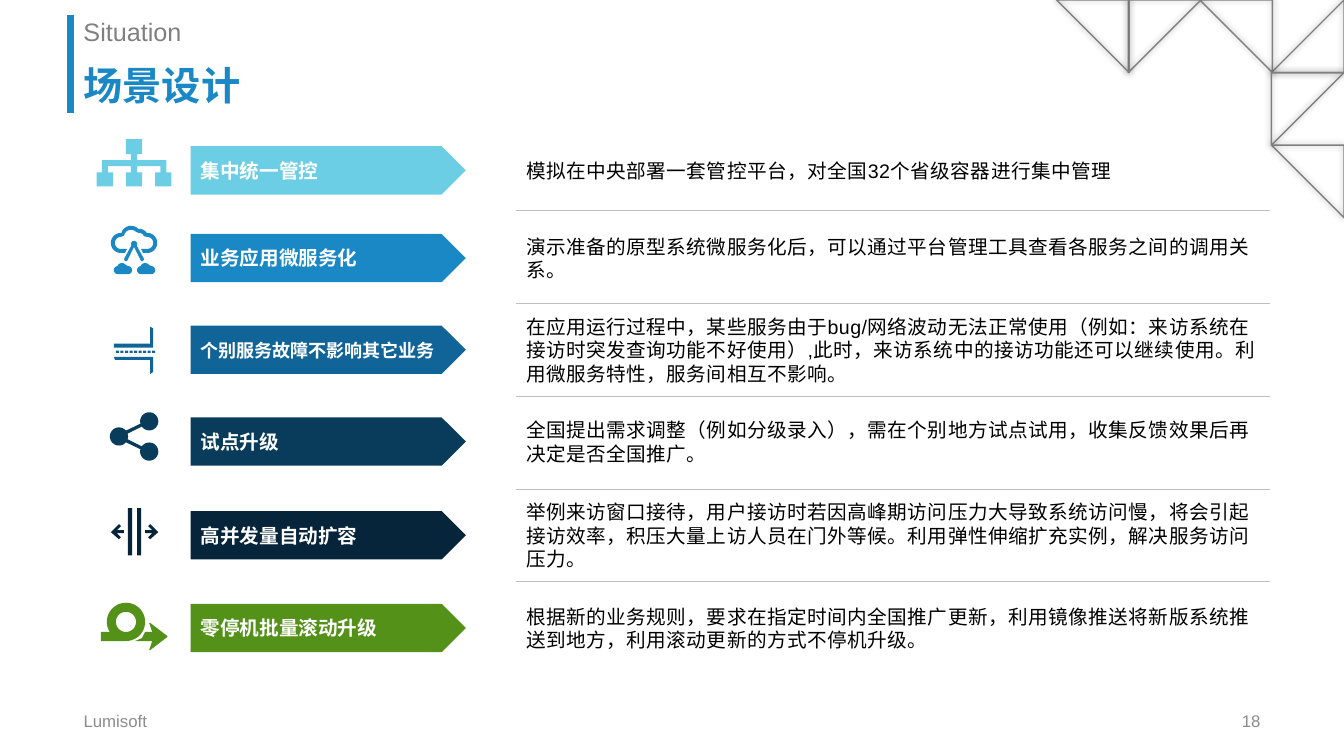
from math import cos, radians, sin

from lxml.etree import SubElement
from pptx import Presentation
from pptx.dml.color import RGBColor
from pptx.enum.shapes import MSO_CONNECTOR, MSO_SHAPE
from pptx.enum.text import MSO_ANCHOR, MSO_AUTO_SIZE, PP_ALIGN
from pptx.oxml.ns import qn
from pptx.util import Inches, Pt

THEME = {
    "font": "Arial", "accent": "1988C5", "grey": "808080", "footer": "8C8C8C",
    "rule": "BFBFBF", "text": "000000", "white": "FFFFFF",
    "title_pt": 28, "subtitle_pt": 18, "body_pt": 14, "long_label_pt": 12.9, "footer_pt": 12,
}
W, H = 13.33, 7.5
LEFT, RIGHT = 0.73, 12.6          # content margins
LABEL_X, LABEL_W, LABEL_H = 1.89, 2.73, 0.48
DETAIL_X = 5.12
ROW_STEP, FIRST_RULE = 0.92, 2.09
TRIANGLE, TRIANGLE_STEP = 0.72, 0.71
ICON_X = 1.33                     # axis shared by the icons


def arc(cx, cy, r, start, end):
    """Points along a circle; degrees run clockwise from the right."""
    n = max(6, int(abs(end - start) / 8))
    angles = [radians(start + (end - start) * i / n) for i in range(n + 1)]
    return [(cx + r * cos(a), cy + r * sin(a)) for a in angles]


def write(tf, text, size, color, bold=False, anchor=MSO_ANCHOR.MIDDLE, align=PP_ALIGN.LEFT):
    tf.word_wrap = True
    tf.auto_size = MSO_AUTO_SIZE.NONE
    tf.vertical_anchor = anchor
    p = tf.paragraphs[0]
    p.alignment = align
    r = p.add_run()
    r.text = text
    r.font.name = THEME["font"]
    r.font.size = Pt(size)
    r.font.bold = bold
    r.font.color.rgb = RGBColor.from_string(color)
    return p


prs = Presentation()
prs.slide_width, prs.slide_height = Inches(W), Inches(H)
s = prs.slides.add_slide(prs.slide_layouts[5])

# Corner triangles: column from the right, row, rotation
for col, row, turn in [(1, 0, 270), (2, 0, 180), (3, 0, 90), (4, 0, 180), (1, 2, 180), (1, 1, 90)]:
    x = W - TRIANGLE - (col - 1) * TRIANGLE_STEP
    sp = s.shapes.add_shape(MSO_SHAPE.RIGHT_TRIANGLE, Inches(x), Inches(row * TRIANGLE),
                            Inches(TRIANGLE), Inches(TRIANGLE))
    sp.rotation = turn
    sp.fill.background()
    sp.line.color.rgb = RGBColor.from_string(THEME["grey"])
    sp.line.width = Pt(1)
    effects = SubElement(sp._element.spPr, qn("a:effectLst"))
    shadow = SubElement(effects, qn("a:outerShdw"), blurRad=str(Pt(5)), dist="0", dir="0")
    black = SubElement(shadow, qn("a:srgbClr"), val="000000")
    SubElement(black, qn("a:alpha"), val="40000")

# Title bar and row rules
rules = [(DETAIL_X, y, RIGHT, y, THEME["rule"], 0.25)
         for y in (FIRST_RULE + i * ROW_STEP for i in range(5))]
for x1, y1, x2, y2, color, width in [(0.7, 0.15, 0.7, 1.12, THEME["accent"], 5)] + rules:
    line = s.shapes.add_connector(MSO_CONNECTOR.STRAIGHT, Inches(x1), Inches(y1), Inches(x2), Inches(y2))
    line.line.color.rgb = RGBColor.from_string(color)
    line.line.width = Pt(width)
    SubElement(line._element.spPr, qn("a:effectLst"))

# Heading
title = s.shapes.title
title.left, title.top = Inches(LEFT), Inches(0.54)
title.width, title.height = Inches(RIGHT - LEFT), Inches(0.59)
p = write(title.text_frame, "场景设计", THEME["title_pt"], THEME["accent"], True, MSO_ANCHOR.BOTTOM)
p.line_spacing = 0.9
subtitle = s.shapes.add_textbox(Inches(LEFT), Inches(0.15), Inches(RIGHT - LEFT), Inches(0.39))
p = write(subtitle.text_frame, "Situation", THEME["subtitle_pt"], THEME["grey"], anchor=MSO_ANCHOR.TOP)
p.line_spacing = 0.9

# Icon outlines, each a list of closed contours
tree_half = [(1.41, 1.38), (1.41, 1.53), (1.36, 1.53), (1.36, 1.59), (1.65, 1.59), (1.65, 1.71),
             (1.7, 1.71), (1.7, 1.85), (1.54, 1.85), (1.54, 1.71), (1.59, 1.71), (1.59, 1.65),
             (1.36, 1.65), (1.36, 1.71), (1.41, 1.71), (1.41, 1.85)]
tree = [tree_half + [(2 * ICON_X - x, y) for x, y in reversed(tree_half)]]

cloud = [
    arc(1.46, 2.41, 0.1, 90, -90) + arc(1.38, 2.36, 0.09, -35, -95)
    + arc(1.3, 2.34, 0.1, -45, -165) + arc(1.2, 2.41, 0.1, -95, -270)
    + [(1.24, 2.51), (1.26, 2.47)]
    + arc(1.2, 2.41, 0.06, 90, 270) + arc(1.3, 2.35, 0.07, -170, -45)
    + arc(1.38, 2.36, 0.05, -95, -20) + arc(1.46, 2.41, 0.06, -90, 90)
    + [(1.4, 2.47), (1.42, 2.51)],
    arc(ICON_X, 2.42, 0.03, 150, 390)
    + [(1.43, 2.57), (1.42, 2.59), (1.4, 2.59), (1.33, 2.45), (1.26, 2.59), (1.24, 2.59), (1.23, 2.57)],
] + [
    arc(x - 0.05, 2.68, 0.04, 90, 270) + arc(x - 0.01, 2.66, 0.05, -150, -40)
    + arc(x + 0.05, 2.68, 0.04, -90, 90)
    for x in (1.22, 1.45)
]

pipe = [
    [(1.13, 3.54), (1.52, 3.54), (1.52, 3.69), (1.49, 3.71), (1.49, 3.57), (1.14, 3.57)],
    [(1.13, 3.45), (1.52, 3.45), (1.52, 3.26), (1.49, 3.24), (1.49, 3.41), (1.13, 3.41)],
] + [
    [(x, 3.48), (x + 0.03, 3.48), (x + 0.03, 3.5), (x, 3.5)]
    for x in (1.15 + i * 0.36 / 8 for i in range(9))
]

share = [
    arc(1.18, 4.33, 0.09, 40, 320) + arc(1.48, 4.18, 0.09, 165, 505)
    + arc(1.18, 4.33, 0.09, -18, 18) + arc(1.48, 4.48, 0.09, 215, 555)
]

arrow = [(1.49, 5.2), (1.57, 5.28), (1.49, 5.35), (1.47, 5.33), (1.51, 5.29),
         (1.44, 5.29), (1.44, 5.26), (1.51, 5.26), (1.47, 5.22)]
bar = [(1.36, 5.04), (1.4, 5.04), (1.4, 5.51), (1.36, 5.51)]
expand = [arrow, bar] + [[(2 * ICON_X + 0.01 - x, y) for x, y in part] for part in (arrow, bar)]

rolling = [
    arc(1.25, 6.17, 0.19, 90, -212) + [(1, 6.27), (1, 6.36)],
    arc(1.25, 6.17, 0.1, 0, 360),
    [(1.34, 6.36), (1.41, 6.33), (1.44, 6.27), (1.51, 6.27), (1.48, 6.18), (1.49, 6.18),
     (1.66, 6.31), (1.66, 6.32), (1.49, 6.45), (1.48, 6.45), (1.51, 6.36)],
]

# Scenario rows: centre, colour, icon, label, label size, detail
size = THEME["body_pt"]
scenarios = [
    (1.69, "6CCEE5", tree, "集中统一管控", size,
     "模拟在中央部署一套管控平台，对全国32个省级容器进行集中管理"),
    (2.56, "1988C5", cloud, "业务应用微服务化", size,
     "演示准备的原型系统微服务化后，可以通过平台管理工具查看各服务之间的调用关系。"),
    (3.47, "116497", pipe, "个别服务故障不影响其它业务", THEME["long_label_pt"],
     "在应用运行过程中，某些服务由于bug/网络波动无法正常使用（例如：来访系统在接访时突发查询功能不好使用）"
     ",此时，来访系统中的接访功能还可以继续使用。利用微服务特性，服务间相互不影响。"),
    (4.38, "093C5B", share, "试点升级", size,
     "全国提出需求调整（例如分级录入），需在个别地方试点试用，收集反馈效果后再决定是否全国推广。"),
    (5.31, "06243A", expand, "高并发量自动扩容", size,
     "举例来访窗口接待，用户接访时若因高峰期访问压力大导致系统访问慢，将会引起接访效率，"
     "积压大量上访人员在门外等候。利用弹性伸缩扩充实例，解决服务访问压力。"),
    (6.23, "549118", rolling, "零停机批量滚动升级", size,
     "根据新的业务规则，要求在指定时间内全国推广更新，利用镜像推送将新版系统推送到地方，"
     "利用滚动更新的方式不停机升级。"),
]
for centre, color, contours, label, label_pt, detail in scenarios:
    outlines = [[(Inches(x), Inches(y)) for x, y in c] for c in contours]
    builder = s.shapes.build_freeform(*outlines[0][0])
    for i, points in enumerate(outlines):
        if i:
            builder.move_to(*points[0])
        builder.add_line_segments(points[1:], close=True)
    icon = builder.convert_to_shape()
    tag = s.shapes.add_shape(MSO_SHAPE.PENTAGON, Inches(LABEL_X), Inches(centre - LABEL_H / 2),
                             Inches(LABEL_W), Inches(LABEL_H))
    for sp in (icon, tag):
        sp.shadow.inherit = False
        sp.fill.solid()
        sp.fill.fore_color.rgb = RGBColor.from_string(color)
        sp.line.fill.background()
    write(tag.text_frame, label, label_pt, THEME["white"], True)

    box_h = 0.81
    box = s.shapes.add_textbox(Inches(DETAIL_X), Inches(centre - box_h / 2),
                               Inches(RIGHT - DETAIL_X), Inches(box_h))
    p = write(box.text_frame, detail, size, THEME["text"])
    p.runs[0].font._element.set("spc", "30")

# Footer
footer_w = 3.18
for x, text, align in [(LEFT, "Lumisoft", PP_ALIGN.LEFT), (RIGHT - footer_w, "18", PP_ALIGN.RIGHT)]:
    box = s.shapes.add_textbox(Inches(x), Inches(6.95), Inches(footer_w), Inches(0.4))
    write(box.text_frame, text, THEME["footer_pt"], THEME["footer"], align=align)

prs.save("out.pptx")
